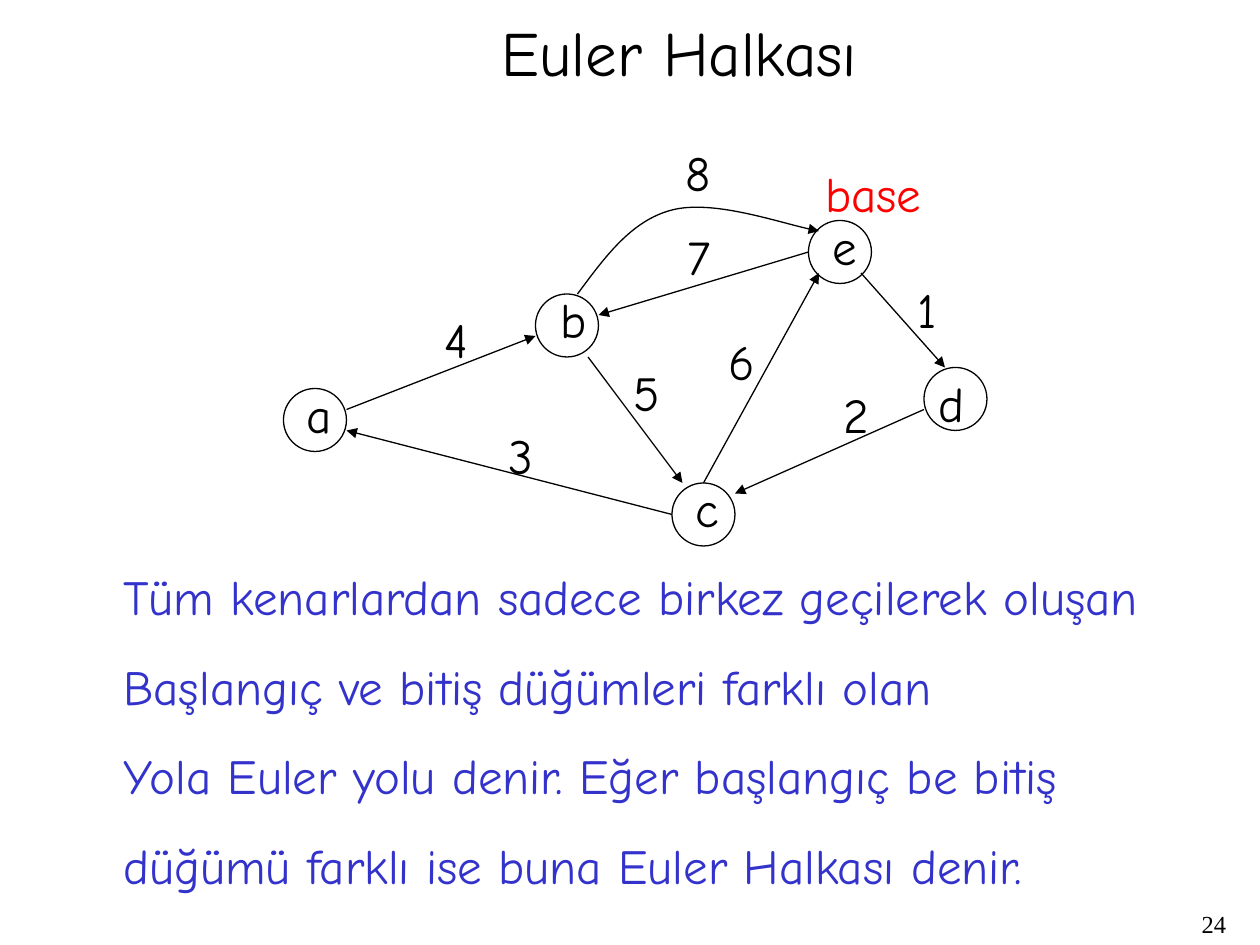
from dataclasses import dataclass

from lxml import etree
from pptx import Presentation
from pptx.dml.color import RGBColor
from pptx.enum.shapes import MSO_CONNECTOR, MSO_SHAPE
from pptx.enum.text import MSO_ANCHOR, MSO_AUTO_SIZE, PP_ALIGN
from pptx.oxml.ns import qn
from pptx.util import Pt

LEFT, RIGHT = PP_ALIGN.LEFT, PP_ALIGN.RIGHT
TOP = MSO_ANCHOR.TOP
FIT, FIXED = MSO_AUTO_SIZE.SHAPE_TO_FIT_TEXT, MSO_AUTO_SIZE.NONE
OVAL, STRAIGHT = MSO_SHAPE.OVAL, MSO_CONNECTOR.STRAIGHT


@dataclass(frozen=True)
class Theme:
    font: str = "Comic Neue"
    number_font: str = "Times New Roman"
    ink: str = "000000"
    base: str = "FF0000"
    body: str = "3333CC"
    title_size: float = 36
    text_size: float = 28
    number_size: float = 14
    line: float = 0.75


THEME = Theme()

TITLE = ("Euler Halkası", (279.4, 4.3, 218.2, 50.4))
BODY = ([
    "Tüm kenarlardan sadece birkez geçilerek oluşan",
    "Başlangıç ve bitiş düğümleri farklı olan",
    "Yola Euler yolu denir. Eğer başlangıç be bitiş",
    "düğümü farklı ise buna Euler Halkası denir.",
], (63.4, 320.4, 596.2, 245.5))
PAGE = ("24", (558, 516.2, 149.8, 23.8))
BASE = ("base", (464.4, 90, 69.1, 41))

NODE_SIZE = 36
LABEL_HEIGHT = 41
# name: corner of the circle, left, top and width of its label
NODES = {
    "a": ((162, 222), (167.8, 216, 28.8)),
    "b": ((306, 168), (313.2, 162, 29.5)),
    "c": ((384, 276), (390.2, 270, 27.4)),
    "d": ((528, 210), (529.2, 210, 28.8)),
    "e": ((462, 126), (468.7, 120, 28.1)),
}
# number, from, offset in that circle, to, offset, label left, top and width
EDGES = [
    ("1", "e", (30, 30), "d", (12, 0), (517, 156.2, 25.2)),
    ("2", "d", (0, 24), "c", (36, 6), (475.2, 216, 28.8)),
    ("3", "c", (0, 18), "a", (36, 24), (283.7, 239.8, 28.1)),
    ("4", "a", (36, 12), "b", (0, 24), (247, 173.5, 28.1)),
    ("5", "b", (30, 36), "c", (6, 0), (355, 203.8, 29.5)),
    ("6", "c", (18, 0), "e", (6, 30), (409, 185.8, 29.5)),
    ("7", "e", (0, 18), "b", (36, 12), (385.9, 126, 27.4)),
]
ARC_LABEL = ("8", (384.5, 77.8, 28.8))
# start, then two controls and an end for each curve
ARC = [(330, 168),
       (345.6, 147), (360.7, 126), (384, 120),
       (407, 114), (450.7, 129), (468, 132)]


def points(values):
    return [Pt(v) for v in values]


def write(shape, lines, *, size=THEME.text_size, color=THEME.ink, font=THEME.font,
          align=LEFT, before=THEME.text_size * 0.625, wrap=False, fit=FIT):
    tf = shape.text_frame
    tf.word_wrap, tf.auto_size, tf.vertical_anchor = wrap, fit, TOP
    for i, line in enumerate(lines):
        p = tf.add_paragraph() if i else tf.paragraphs[0]
        p.alignment, p.space_before = align, Pt(before)
        r = p.add_run()
        r.text = line
        r.font.name, r.font.size = font, Pt(size)
        r.font.color.rgb = RGBColor.from_string(color)


def add_text(s, lines, box, **style):
    write(s.shapes.add_textbox(*points(box)), lines, **style)


def add_label(s, text, place):
    add_text(s, [text], (*place, LABEL_HEIGHT))


def outline(shape, arrow=False):
    shape.line.color.rgb = RGBColor.from_string(THEME.ink)
    shape.line.width = Pt(THEME.line)
    if arrow:
        etree.SubElement(shape.line._get_or_add_ln(), qn("a:tailEnd"), type="triangle")


def add_node(s, corner):
    sp = s.shapes.add_shape(OVAL, *points((*corner, NODE_SIZE, NODE_SIZE)))
    sp.shadow.inherit = False
    sp.fill.background()
    outline(sp)


def add_edge(s, start, start_offset, end, end_offset):
    ends = [corner + offset
            for node, offsets in ((start, start_offset), (end, end_offset))
            for corner, offset in zip(NODES[node][0], offsets)]
    line = s.shapes.add_connector(STRAIGHT, *points(ends))
    outline(line, arrow=True)
    etree.SubElement(line._element.spPr, qn("a:effectLst"))


def add_curve(s, pts):
    """Draw the polygon of control points, then turn each three sides into a Bézier."""
    builder = s.shapes.build_freeform(*points(pts[0]))
    builder.add_line_segments([points(p) for p in pts[1:]], close=False)
    sp = builder.convert_to_shape()
    sp.shadow.inherit = False
    sp.fill.background()
    outline(sp, arrow=True)
    sides = list(sp._element.iter(qn("a:lnTo")))
    for i in range(0, len(sides), 3):
        curve = etree.Element(qn("a:cubicBezTo"))
        sides[i].addprevious(curve)
        for side in sides[i:i + 3]:
            curve.append(side[0])
            side.getparent().remove(side)


def main():
    prs = Presentation()
    prs.slide_width, prs.slide_height = Pt(720), Pt(540)
    s = prs.slides.add_slide(prs.slide_layouts[5])

    text, box = TITLE
    title = s.shapes.title
    title.left, title.top, title.width, title.height = points(box)
    write(title, [text], size=THEME.title_size, before=THEME.title_size * 0.625)

    for name, (corner, place) in NODES.items():
        add_node(s, corner)
        add_label(s, name, place)
    for number, *ends, place in EDGES:
        add_edge(s, *ends)
        add_label(s, number, place)
    add_curve(s, ARC)
    add_label(s, *ARC_LABEL)

    text, box = BASE
    add_text(s, [text], box, color=THEME.base)
    lines, box = BODY
    add_text(s, lines, box, color=THEME.body)
    text, box = PAGE
    add_text(s, [text], box, size=THEME.number_size, font=THEME.number_font,
             align=RIGHT, before=0, wrap=True, fit=FIXED)
    prs.save("out.pptx")


if __name__ == "__main__":
    main()
